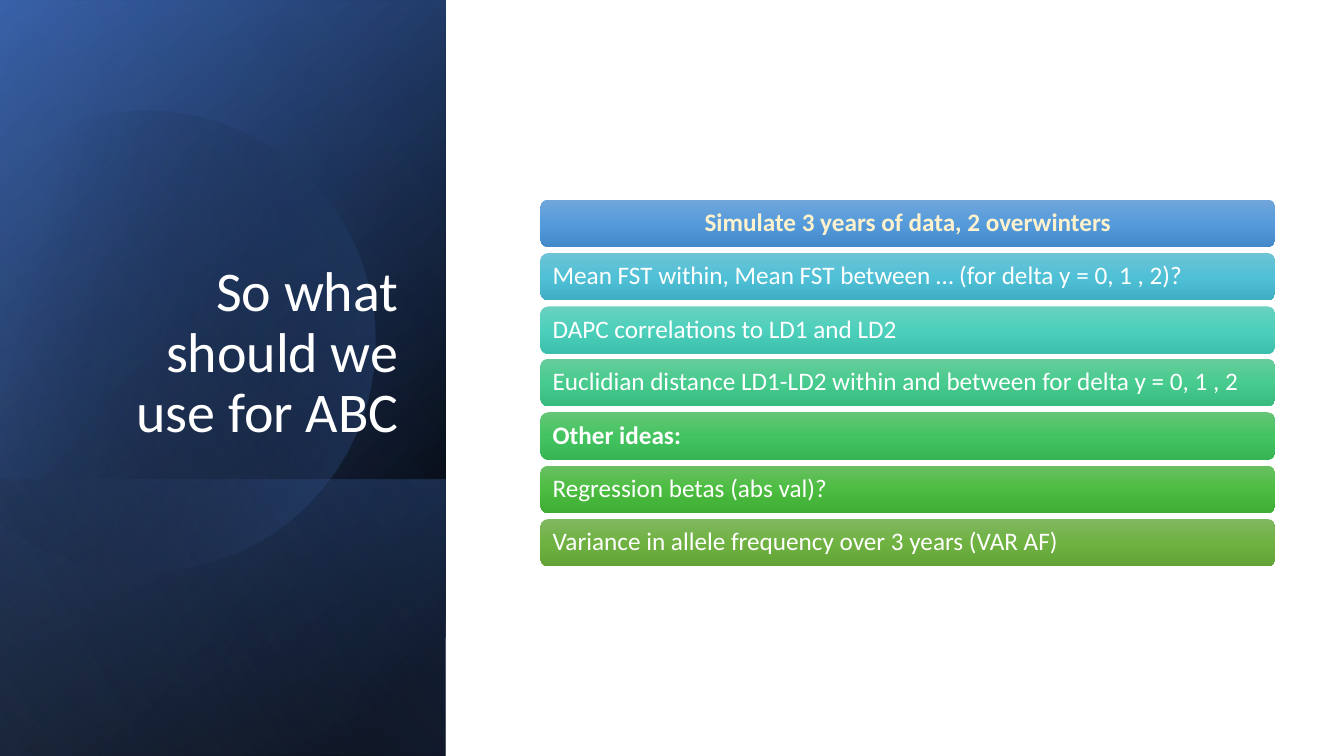
"""Build the ABC statistics slide: a dark title panel beside a list of coloured bars."""
import math
from dataclasses import dataclass

from lxml import etree
from pptx import Presentation
from pptx.dml.color import RGBColor
from pptx.enum.shapes import MSO_SHAPE
from pptx.enum.text import MSO_ANCHOR, PP_ALIGN
from pptx.oxml.ns import qn
from pptx.util import Emu, Pt

PX = 9144
RECTANGLE, ROUNDED = MSO_SHAPE.RECTANGLE, MSO_SHAPE.ROUNDED_RECTANGLE
LEFT, CENTER, RIGHT = PP_ALIGN.LEFT, PP_ALIGN.CENTER, PP_ALIGN.RIGHT
MIDDLE, BOTTOM = MSO_ANCHOR.MIDDLE, MSO_ANCHOR.BOTTOM
FONT = "Calibri"
COLORS = {
    "black": "000000",
    "navy": "2F5597",
    "blue": "4472C4",
    "pale blue": "8FAADC",
    "white": "FFFFFF",
    "cream": "FFF2CC",
}


@dataclass(frozen=True)
class Stop:
    position: int
    color: str
    opacity: int = 100


@dataclass(frozen=True)
class Panel:
    left: int
    top: int
    width: int
    height: int
    angle: int
    stops: tuple[Stop, Stop]


@dataclass(frozen=True)
class Bar:
    text: str
    shades: tuple[str, str, str]
    bold: bool = False
    align: PP_ALIGN = LEFT
    color: str = COLORS["white"]


BLACK, BLUE = COLORS["black"], COLORS["blue"]
BACK_PANELS = (
    Panel(-154, 154, 750, 442, 50, (Stop(8, BLACK), Stop(100, COLORS["navy"]))),
    Panel(-154, 155, 750, 442, 30, (Stop(0, BLACK, 0), Stop(99, BLUE, 46))),
    Panel(84, 392, 274, 442, 130, (Stop(2, BLUE, 29), Stop(100, BLACK, 30))),
)
FRONT_PANEL = Panel(-154, 154, 750, 442, 120,
                    (Stop(0, BLACK, 0), Stop(99, COLORS["pale blue"], 11)))

DISC_CENTER = (158, 334)
DISC_TURN = 343.9
DISC_STOPS = (Stop(29, BLACK, 0), Stop(100, BLUE, 43))
DISC_START = (149, 110)
DISC_CURVES = (
    ((246, 112), (335, 177), (363, 275)),
    ((398, 397), (328, 523), (207, 558)),
    ((131, 580), (53, 561), (-3, 514)),
    ((-7, 510), (-11, 507), (-15, 503)),
    ((-15, 394), (-15, 284), (-15, 175)),
    ((-10, 170), (-5, 166), (0, 161)),
    ((23, 142), (50, 128), (80, 119)),
    ((103, 113), (126, 110), (149, 110)),
)
CURVE_STEPS = 16

BAR_LEFT, BAR_TOP, BAR_WIDTH, BAR_HEIGHT = 536, 198, 729, 47
LAST_BAR_TOP = 515
BARS = (
    Bar("Simulate 3 years of data, 2 overwinters", ("71A6DB", "559BDB", "448ACA"),
        bold=True, align=CENTER, color=COLORS["cream"]),
    Bar("Mean FST within, Mean FST between … (for delta y = 0, 1 , 2)?",
        ("6EC4D6", "50C0D6", "40AFC5")),
    Bar("DAPC correlations to LD1 and LD2", ("6AD1C0", "4CD0BC", "3CC0AC")),
    Bar("Euclidian distance LD1-LD2 within and between for delta y = 0, 1 , 2",
        ("67CC9A", "47CB8E", "39BB7F")),
    Bar("Other ideas:", ("64C677", "44C460", "36B552"), bold=True),
    Bar("Regression betas (abs val)?", ("69C062", "4CBD41", "3FAD34")),
    Bar("Variance in allele frequency over 3 years (VAR AF)",
        ("81B861", "6FB242", "62A336")),
)


def px(*lengths: int) -> list[Emu]:
    return [Emu(length * PX) for length in lengths]


def paint(shape, stops: tuple[Stop, ...], angle: int) -> None:
    shape.shadow.inherit = False
    shape.line.fill.background()
    shape.fill.gradient()
    gradient = shape.element.spPr.find(qn("a:gradFill"))
    stop_list = gradient.find(qn("a:gsLst"))
    for sample in list(stop_list):
        stop_list.remove(sample)
    for stop in stops:
        mark = etree.SubElement(stop_list, qn("a:gs"), pos=str(stop.position * 1000))
        color = etree.SubElement(mark, qn("a:srgbClr"), val=stop.color)
        if stop.opacity < 100:
            etree.SubElement(color, qn("a:alpha"), val=str(stop.opacity * 1000))
    gradient.find(qn("a:lin")).set("ang", str(angle * 60000))


def write(shape, text: str, size: int, color: str, align: PP_ALIGN,
          anchor: MSO_ANCHOR, bold: bool = False) -> None:
    frame = shape.text_frame
    frame.word_wrap = True
    frame.vertical_anchor = anchor
    para = frame.paragraphs[0]
    para.alignment = align
    para.line_spacing = 0.9
    span = para.add_run()
    span.text = text
    span.font.name = FONT
    span.font.size = Pt(size)
    span.font.bold = bold
    span.font.color.rgb = RGBColor.from_string(color)


def draw_panel(page, panel: Panel) -> None:
    box = page.shapes.add_shape(
        RECTANGLE, *px(panel.left, panel.top, panel.width, panel.height))
    box.rotation = 90
    box.element.spPr.find(qn("a:xfrm")).set("flipH", "1")
    paint(box, panel.stops, panel.angle)


def unturn(point: tuple[float, float]) -> tuple[int, int]:
    turn = math.radians(-DISC_TURN)
    across, down = point[0] - DISC_CENTER[0], point[1] - DISC_CENTER[1]
    x = DISC_CENTER[0] + across * math.cos(turn) - down * math.sin(turn)
    y = DISC_CENTER[1] + across * math.sin(turn) + down * math.cos(turn)
    return round(x * PX), round(y * PX)


def disc_outline() -> list[tuple[int, int]]:
    points, start = [], DISC_START
    for first, second, end in DISC_CURVES:
        for step in range(1, CURVE_STEPS + 1):
            t = step / CURVE_STEPS
            weights = ((1 - t) ** 3, 3 * t * (1 - t) ** 2, 3 * t * t * (1 - t), t ** 3)
            knots = (start, first, second, end)
            points.append(unturn((
                sum(w * knot[0] for w, knot in zip(weights, knots)),
                sum(w * knot[1] for w, knot in zip(weights, knots)))))
        start = end
    return points


def draw_disc(page) -> None:
    builder = page.shapes.build_freeform(*unturn(DISC_START))
    builder.add_line_segments(disc_outline(), close=True)
    disc = builder.convert_to_shape()
    disc.rotation = DISC_TURN
    paint(disc, DISC_STOPS, 30)


def draw_bar(page, bar: Bar, top: int) -> None:
    box = page.shapes.add_shape(ROUNDED, *px(BAR_LEFT, top, BAR_WIDTH, BAR_HEIGHT))
    paint(box, tuple(Stop(50 * i, shade) for i, shade in enumerate(bar.shades)), 90)
    write(box, bar.text, 18, bar.color, bar.align, MIDDLE, bar.bold)


def main() -> None:
    deck = Presentation()
    deck.slide_width, deck.slide_height = px(1333, 750)
    page = deck.slides.add_slide(deck.slide_layouts[6])
    for panel in BACK_PANELS:
        draw_panel(page, panel)
    draw_disc(page)
    draw_panel(page, FRONT_PANEL)
    title = page.shapes.add_textbox(*px(64, 184, 341, 262))
    write(title, "So what should we use for ABC", 40, COLORS["white"], RIGHT, BOTTOM)
    pitch = (LAST_BAR_TOP - BAR_TOP) / (len(BARS) - 1)
    for index, bar in enumerate(BARS):
        draw_bar(page, bar, round(BAR_TOP + index * pitch))
    deck.save("out.pptx")


if __name__ == "__main__":
    main()
